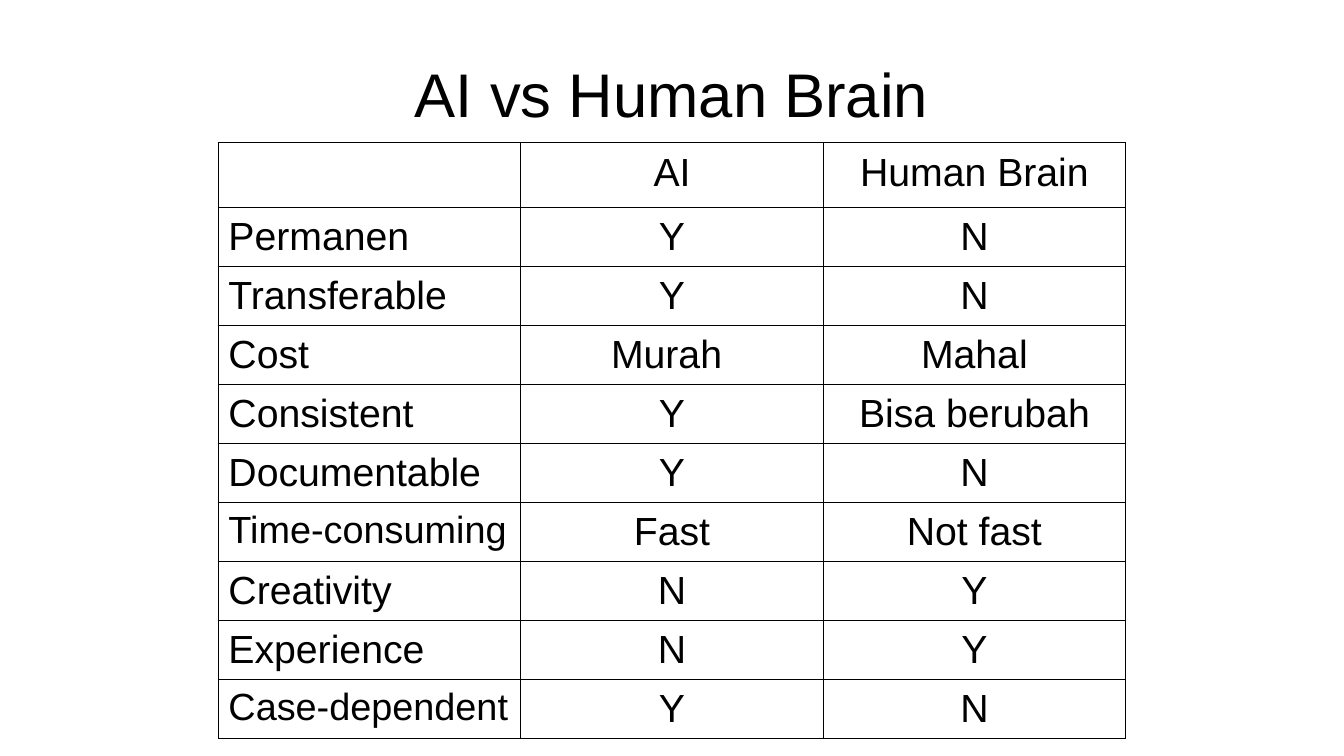
from lxml import etree
from pptx import Presentation
from pptx import util as u
from pptx.dml.color import RGBColor
from pptx.enum import text
from pptx.oxml import ns

BLACK = RGBColor(0, 0, 0)
MID, LEFT = text.PP_ALIGN.CENTER, text.PP_ALIGN.LEFT

# Table content
ROWS = [
    ("", "AI", "Human Brain"),
    ("Permanen", "Y", "N"),
    ("Transferable", "Y", "N"),
    ("Cost", "Murah ", "Mahal"),
    ("Consistent", "Y", "Bisa berubah"),
    ("Documentable", "Y", "N"),
    ("Time-consuming", "Fast", "Not fast"),
    ("Creativity", "N", "Y"),
    ("Experience", "N", "Y"),
    ("Case-dependent", "Y", "N"),
]


class Deck:
    """Style and current slide; lengths are percentages of the slide size."""

    face = "Arial"
    color = BLACK

    def __init__(self, width, height):
        self.prs = Presentation()
        self.prs.slide_width = u.Inches(width)
        self.prs.slide_height = u.Inches(height)
        self.slide = self.prs.slides.add_slide(self.prs.slide_layouts[6])

    def area(self, x, y, w, h):
        wide, high = self.prs.slide_width, self.prs.slide_height
        return [u.Emu(round(part * full / 100))
                for part, full in ((x, wide), (y, high), (w, wide), (h, high))]

    def label(self, para, words, size, align):
        para.text = words
        para.alignment = align
        para.font.name = self.face
        para.font.size = u.Pt(size)
        para.font.color.rgb = self.color

    def title(self, words, size, *box):
        frame = self.slide.shapes.add_textbox(*self.area(*box)).text_frame
        frame.word_wrap = True
        frame.vertical_anchor = text.MSO_ANCHOR.MIDDLE
        self.label(frame.paragraphs[0], words, size, MID)

    def border(self, cell, width):
        props = cell._tc.get_or_add_tcPr()
        for spot, side in enumerate(("lnL", "lnR", "lnT", "lnB")):
            line = etree.Element(ns.qn("a:" + side), w=str(u.Pt(width)))
            fill = etree.SubElement(line, ns.qn("a:solidFill"))
            etree.SubElement(fill, ns.qn("a:srgbClr"), val=str(self.color))
            props.insert(spot, line)

    def table(self, rows, size, *box):
        left, top, width, height = self.area(*box)
        grid = self.slide.shapes.add_table(
            len(rows), len(rows[0]), left, top, width, height).table
        grid.first_row = grid.horz_banding = False
        for r, row in enumerate(rows):
            for c, words in enumerate(row):
                cell = grid.cell(r, c)
                cell.fill.background()
                self.border(cell, 0.75)
                # Long labels are a little smaller to stay on one line
                tight = len(words) > 13
                cell.margin_top = u.Inches(0.11 if tight else 0.12)
                para = cell.text_frame.paragraphs[0]
                self.label(para, words, size - tight, MID if c else LEFT)
                para.line_spacing = 0.89

    def save(self):
        self.prs.save("out.pptx")


def main():
    deck = Deck(13.33, 7.5)
    left, wide = 16.25, 67.5
    # Heading
    deck.title("AI vs Human Brain", 44, left, 4, wide, 16.67)
    # Comparison
    deck.table(ROWS, 28, left, 18.9, wide, 77.75)
    deck.save()


if __name__ == "__main__":
    main()
